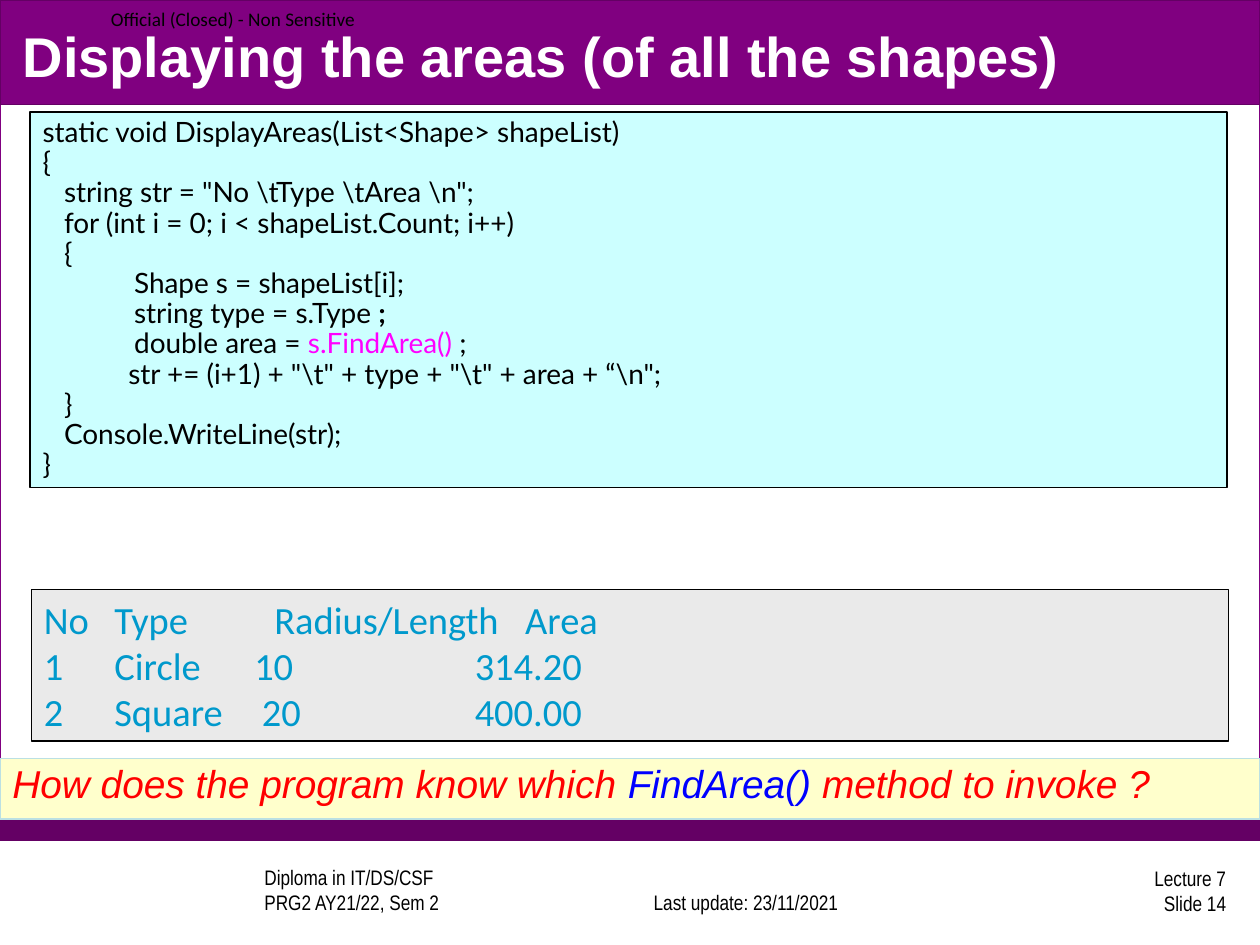
from typing import NamedTuple

from lxml import etree
from pptx import Presentation, util as u
from pptx.dml.color import RGBColor
from pptx.enum import shapes, text
from pptx.oxml.ns import qn

COLUMNS, ROWS = 100, 75
CELL = u.Inches(0.1)


class Theme:
    purple, dark_purple = "800080", "640064"
    white, black = "FFFFFF", "000000"
    code_fill, output_fill, question_fill = "CCFFFF", "EAEAEA", "FFFFCC"
    pale_blue, teal, magenta, red, blue = "BBE0E3", "0099CC", "FF00FF", "FF0000", "0000FF"
    label = dict(name="Calibri", size=11, color=black)
    footer = dict(name="Arial Narrow", size=12, color=black)
    title = dict(name="Arial", size=32, color=white, bold=True)
    code = dict(name="Lato", size=16, color=black)
    output = dict(name="Calibri", size=22, color=teal)
    question = dict(name="Arial", size=22.2, color=red, italic=True)


class Box(NamedTuple):
    """A region measured in grid columns and rows."""
    left: float
    top: float
    width: float
    height: float

    def inner(self, left, top, width, height):
        return Box(self.left + left, self.top + top, width, height)

    def lengths(self):
        return [round(cells * CELL) for cells in self]


HANGING = dict(marL=u.Inches(0.67), indent=u.Inches(-0.67))

CODE = [
    ["static void DisplayAreas(List<Shape> shapeList)"],
    ["{"],
    [r'   string str = "No \tType \tArea \n";'],
    ["   for (int i = 0; i < shapeList.Count; i++)"],
    ["   {"],
    ["\t Shape s = shapeList[i];"],
    ["    \t string type = s.Type ", (";", dict(bold=True))],
    ["\t double area = ", ("s.FindArea() ", dict(color=Theme.magenta)), ";"],
    [r'            str += (i+1) + "\t" + type + "\t" + area + “\n";'],
    ["   }"],
    ["   Console.WriteLine(str);"],
    ["}"],
]

# Each output line with its tab stops in inches
OUTPUT = [
    ("No\tType\tRadius/Length\tArea", (0.56, 1.83, 3.82)),
    ("1\tCircle\t10\t314.20", (0.56, 1.67, 3.42)),
    ("2\tSquare\t20\t400.00", (0.56, 1.73, 3.42)),
]


def style(font, formats):
    for key, value in formats.items():
        if key == "color":
            font.color.rgb = RGBColor.from_string(value)
        else:
            setattr(font, key, u.Pt(value) if key == "size" else value)


def set_frame(frame, anchor, inset=True):
    margins = dict(margin_left=0.1, margin_right=0.1, margin_top=0.05, margin_bottom=0.05)
    for key, inches in margins.items():
        setattr(frame, key, u.Inches(inches if inset else 0))
    frame.word_wrap = True
    frame.auto_size = text.MSO_AUTO_SIZE.NONE
    frame.vertical_anchor = anchor


def write(paragraph, runs, font, indents=None, tabs=(), **layout):
    """Fill a paragraph with runs, each a string or a (string, formats) pair."""
    properties = paragraph._p.get_or_add_pPr()
    for key, length in (indents or {}).items():
        properties.set(key, str(int(length)))
    if tabs:
        stops = etree.SubElement(properties, qn("a:tabLst"))
        for inches in tabs:
            etree.SubElement(stops, qn("a:tab"), pos=str(int(u.Inches(inches))), algn="l")
    for key, value in layout.items():
        setattr(paragraph, key, value)
    for item in runs:
        words, changes = (item, {}) if isinstance(item, str) else item
        run = paragraph.add_run()
        run.text = words
        style(run.font, {**font, **changes})


def next_paragraph(frame, index):
    return frame.add_paragraph() if index else frame.paragraphs[0]


def add_panel(slide, box, fill, line, weight=0.75):
    panel = slide.shapes.add_shape(shapes.MSO_SHAPE.RECTANGLE, *box.lengths())
    panel.shadow.inherit = False
    panel.fill.solid()
    panel.fill.fore_color.rgb = RGBColor.from_string(fill)
    panel.line.color.rgb = RGBColor.from_string(line)
    panel.line.width = u.Pt(weight)
    frame = panel.text_frame
    set_frame(frame, text.MSO_ANCHOR.TOP)
    frame.paragraphs[0].alignment = text.PP_ALIGN.LEFT
    return frame


def add_background(slide, box):
    add_panel(slide, box, Theme.white, Theme.purple)
    add_panel(slide, box.inner(0, 65, box.width, 1.7), Theme.dark_purple, Theme.dark_purple)


def add_header(slide, box):
    add_panel(slide, box, Theme.purple, Theme.dark_purple)
    label = slide.shapes.add_textbox(*box.inner(0, 0.6, 30.1, 1.8).lengths()).text_frame
    set_frame(label, text.MSO_ANCHOR.MIDDLE, inset=False)
    write(label.paragraphs[0], ["Official (Closed) - Non Sensitive"], Theme.label,
          dict(marL=u.Inches(0.88), indent=0))

    title = slide.shapes.title
    title.left, title.top, title.width, title.height = box.inner(0.8, 1.3, 98.3, 6.2).lengths()
    set_frame(title.text_frame, text.MSO_ANCHOR.MIDDLE)
    write(title.text_frame.paragraphs[0], ["Displaying the areas (of all the shapes)"],
          Theme.title, alignment=text.PP_ALIGN.LEFT)
    slide.shapes._spTree.append(title._element)  # in front of the band


def add_code(slide, box):
    frame = add_panel(slide, box, Theme.code_fill, Theme.black, 1)
    for index, runs in enumerate(CODE):
        write(next_paragraph(frame, index), runs, Theme.code, HANGING,
              alignment=text.PP_ALIGN.LEFT, line_spacing=0.9)


def add_output(slide, box):
    frame = add_panel(slide, box, Theme.output_fill, Theme.black, 1)
    for index, (line, tabs) in enumerate(OUTPUT):
        write(next_paragraph(frame, index), [line], Theme.output, tabs=tabs,
              alignment=text.PP_ALIGN.LEFT)


def add_question(slide, box):
    frame = add_panel(slide, box, Theme.question_fill, Theme.pale_blue)
    runs = ["How does the program know which ",
            ("FindArea() ", dict(color=Theme.blue)), "method to invoke ?"]
    write(frame.paragraphs[0], runs, Theme.question, HANGING, line_spacing=0.9)


def add_footer(slide, box):
    align, anchor = text.PP_ALIGN, text.MSO_ANCHOR
    notes = [
        ((15, 0.3, 31.7, 4.2), ["Diploma in IT/DS/CSF", "PRG2 AY21/22, Sem 2"],
         align.LEFT, anchor.BOTTOM, dict(marL=u.Inches(0.5), indent=0)),
        ((48.8, 0.3, 20.8, 4.2), ["Last update: 23/11/2021"],
         align.CENTER, anchor.BOTTOM, None),
        ((77.5, 0, 20.8, 4.2), ["Lecture 7", "Slide 14"],
         align.RIGHT, anchor.MIDDLE, None),
    ]
    for place, lines, alignment, vertical, indents in notes:
        frame = slide.shapes.add_textbox(*box.inner(*place).lengths()).text_frame
        set_frame(frame, vertical)
        for index, line in enumerate(lines):
            write(next_paragraph(frame, index), [line], Theme.footer, indents,
                  alignment=alignment)


def main():
    deck = Presentation()
    deck.slide_width, deck.slide_height = COLUMNS * CELL, ROWS * CELL
    slide = deck.slides.add_slide(deck.slide_layouts[5])
    add_background(slide, Box(0, 0, COLUMNS, 66.7))
    add_footer(slide, Box(0, 68.6, COLUMNS, 4.5))
    add_header(slide, Box(0, 0, COLUMNS, 8.3))
    add_output(slide, Box(2.5, 46.8, 95, 12))
    add_code(slide, Box(2.4, 8.9, 95, 29.8))
    add_question(slide, Box(0, 60.2, COLUMNS, 4.8))
    deck.save("out.pptx")


if __name__ == "__main__":
    main()
